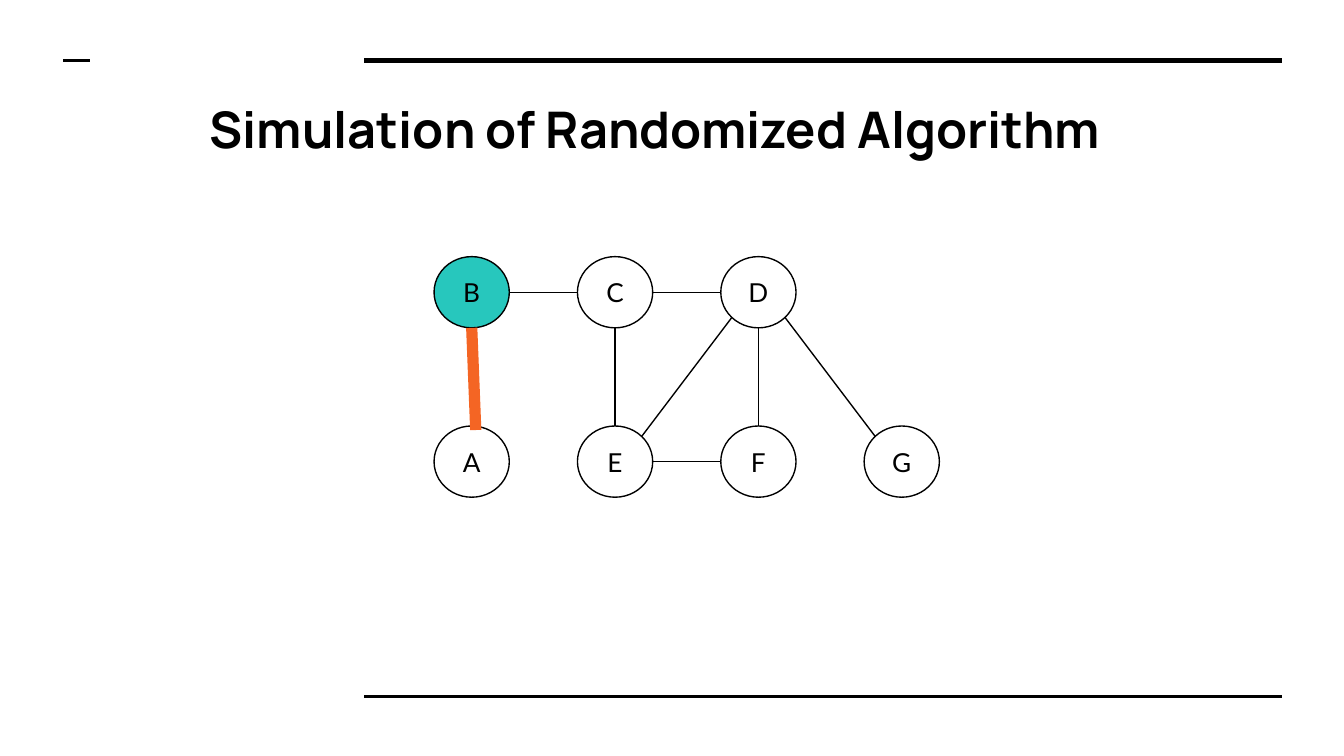
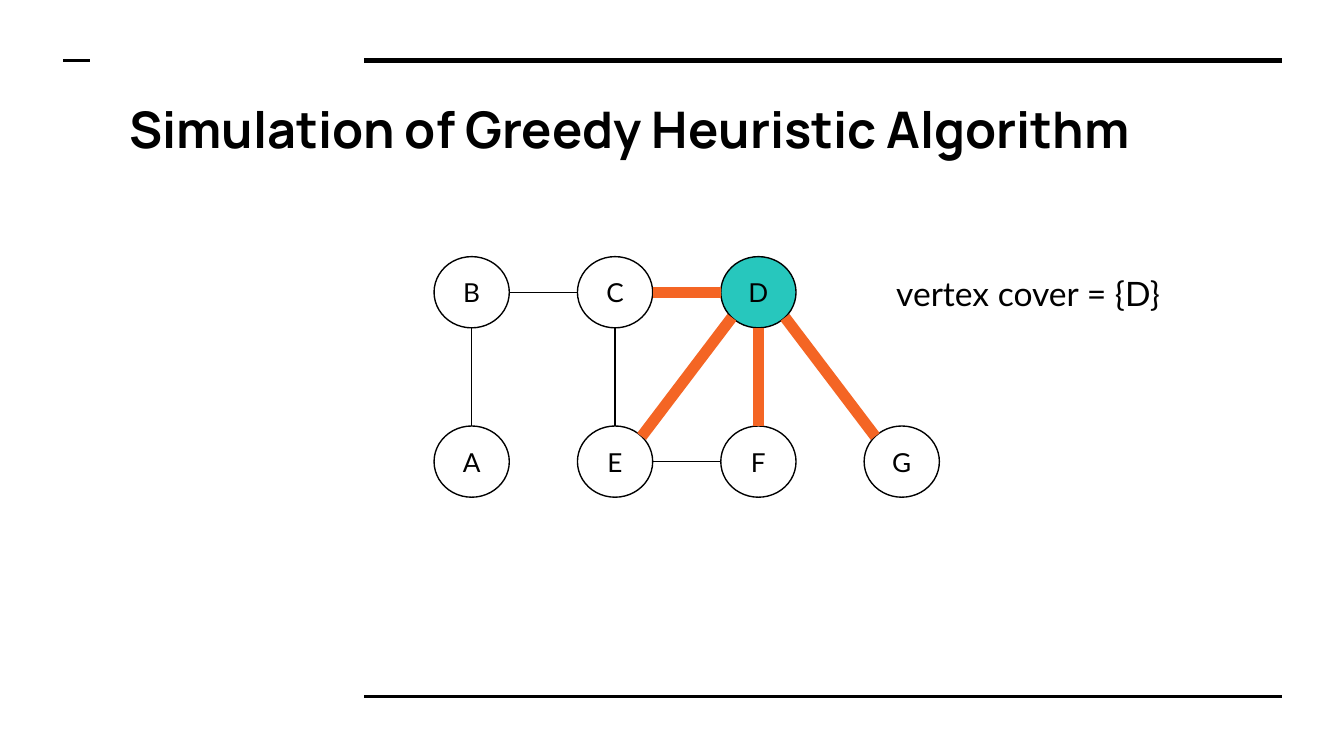
from dataclasses import dataclass
from math import hypot

from lxml import etree
from pptx import Presentation
from pptx import util as u
from pptx.dml.color import RGBColor
from pptx.enum import shapes, text
from pptx.oxml import ns

# Shared style
BLACK = RGBColor(0x00, 0x00, 0x00)
WHITE = RGBColor(0xFF, 0xFF, 0xFF)
TEAL = RGBColor(0x27, 0xC7, 0xBD)
ORANGE = RGBColor(0xF4, 0x65, 0x24)
TITLE_FONT, BODY_FONT = "Manrope", "Lato"
SLIDE_WIDTH = u.Inches(10)
SLIDE_HEIGHT = SLIDE_WIDTH * 9 // 16

# Grid of the graph, in inches
GRAPH_LEFT, GRAPH_TOP = 3.23, 1.91
COLUMN_STEP, ROW_STEP = 3.2 / 3, 1.26
NODE_WIDTH, NODE_HEIGHT = 0.56, 0.53

Point = tuple[float, float]


@dataclass(frozen=True)
class Rule:
    left: float
    right: float
    y: float
    weight: float


@dataclass(frozen=True)
class Node:
    label: str
    column: int
    row: int

    @property
    def corner(self) -> Point:
        return (GRAPH_LEFT + self.column * COLUMN_STEP,
                GRAPH_TOP + self.row * ROW_STEP)

    def rim_towards(self, other: "Node") -> Point:
        """Point on the rim, at the nearest multiple of 45 degrees."""
        dx = (other.column > self.column) - (other.column < self.column)
        dy = (other.row > self.row) - (other.row < self.row)
        reach = hypot(dx, dy)
        left, top = self.corner
        return (left + NODE_WIDTH / 2 * (1 + dx / reach),
                top + NODE_HEIGHT / 2 * (1 + dy / reach))


@dataclass(frozen=True)
class Simulation:
    title: str
    title_left: float
    chosen: str
    covered: tuple[str, ...]
    start_shift: Point = (0, 0)  # moves the start of the covered edges
    result: str = ""


# Content
RULES = (
    Rule(2.71, 9.54, 0.45, 3),
    Rule(2.71, 9.54, 5.18, 1.5),
    Rule(0.47, 0.67, 0.45, 1.5),
)
NODES = {node.label: node for node in (
    Node("B", 0, 0), Node("A", 0, 1), Node("C", 1, 0), Node("E", 1, 1),
    Node("D", 2, 0), Node("F", 2, 1), Node("G", 3, 1),
)}
EDGES = ("AB", "CD", "CE", "EF", "ED", "DG", "FD", "BC")
SIMULATIONS = (
    Simulation("Simulation of Randomized Algorithm", 1.46, "B", ("AB",),
               start_shift=(0.03, 0.03)),
    Simulation("Simulation of Greedy Heuristic Algorithm", 0.86, "D",
               ("CD", "ED", "DG", "FD"), result="vertex cover = {D}"),
)


# Drawing helpers
def add_text(frame, content: str, font: str, size: float,
             align=text.PP_ALIGN.LEFT, anchor=text.MSO_ANCHOR.TOP,
             bold: bool = False) -> None:
    frame.word_wrap = True
    frame.vertical_anchor = anchor
    frame.margin_left = frame.margin_right = u.Inches(0.1)
    frame.margin_top = frame.margin_bottom = u.Inches(0.1)
    paragraph = frame.paragraphs[0]
    paragraph.alignment = align
    run = paragraph.add_run()
    run.text = content
    run.font.name = font
    run.font.size = u.Pt(size)
    run.font.bold = bold
    run.font.color.rgb = BLACK


def add_line(slide, start: Point, end: Point, color: RGBColor,
             weight: float) -> None:
    line = slide.shapes.add_connector(
        shapes.MSO_CONNECTOR.STRAIGHT,
        *(u.Inches(length) for length in (*start, *end)))
    line.line.color.rgb = color
    line.line.width = u.Pt(weight)
    properties = line.element.find(ns.qn("p:spPr"))
    etree.SubElement(properties, ns.qn("a:effectLst"))


def add_title(slide, content: str, left: float) -> None:
    title = slide.shapes.title
    title.left, title.top = u.Inches(left), u.Inches(0.63)
    title.width, title.height = u.Inches(9.54 - left), u.Inches(0.69)
    title.text_frame.auto_size = text.MSO_AUTO_SIZE.NONE
    add_text(title.text_frame, content, TITLE_FONT, 27, bold=True)


# Graph
def add_node(slide, node: Node, fill: RGBColor) -> None:
    left, top = node.corner
    circle = slide.shapes.add_shape(
        shapes.MSO_SHAPE.OVAL, u.Inches(left), u.Inches(top),
        u.Inches(NODE_WIDTH), u.Inches(NODE_HEIGHT))
    circle.shadow.inherit = False
    circle.fill.solid()
    circle.fill.fore_color.rgb = fill
    circle.line.color.rgb = BLACK
    circle.line.width = u.Pt(0.75)
    add_text(circle.text_frame, node.label, BODY_FONT, 14,
             text.PP_ALIGN.CENTER, text.MSO_ANCHOR.MIDDLE)


def add_graph(slide, simulation: Simulation) -> None:
    for node in NODES.values():
        add_node(slide, node, TEAL if node.label == simulation.chosen else WHITE)
    for edge in EDGES:
        first, second = (NODES[label] for label in edge)
        start, end = first.rim_towards(second), second.rim_towards(first)
        if edge in simulation.covered:
            shift_x, shift_y = simulation.start_shift
            start = (start[0] + shift_x, start[1] + shift_y)
            add_line(slide, start, end, ORANGE, 6)
        else:
            add_line(slide, start, end, BLACK, 0.75)


def add_result(slide, content: str) -> None:
    result = slide.shapes.add_textbox(
        u.Inches(6.57), u.Inches(1.93), u.Inches(2.84), u.Inches(0.5))
    add_text(result.text_frame, content, BODY_FONT, 18)
    result.text_frame.auto_size = text.MSO_AUTO_SIZE.SHAPE_TO_FIT_TEXT


# Slides
def build_slide(deck, simulation: Simulation) -> None:
    slide = deck.slides.add_slide(deck.slide_layouts[5])  # title only
    slide.background.fill.solid()
    slide.background.fill.fore_color.rgb = WHITE
    for rule in RULES:
        add_line(slide, (rule.left, rule.y), (rule.right, rule.y),
                 BLACK, rule.weight)
    add_title(slide, simulation.title, simulation.title_left)
    add_graph(slide, simulation)
    if simulation.result:
        add_result(slide, simulation.result)


def main() -> None:
    deck = Presentation()
    deck.slide_width, deck.slide_height = SLIDE_WIDTH, SLIDE_HEIGHT
    for simulation in SIMULATIONS:
        build_slide(deck, simulation)
    deck.save("out.pptx")


if __name__ == "__main__":
    main()
